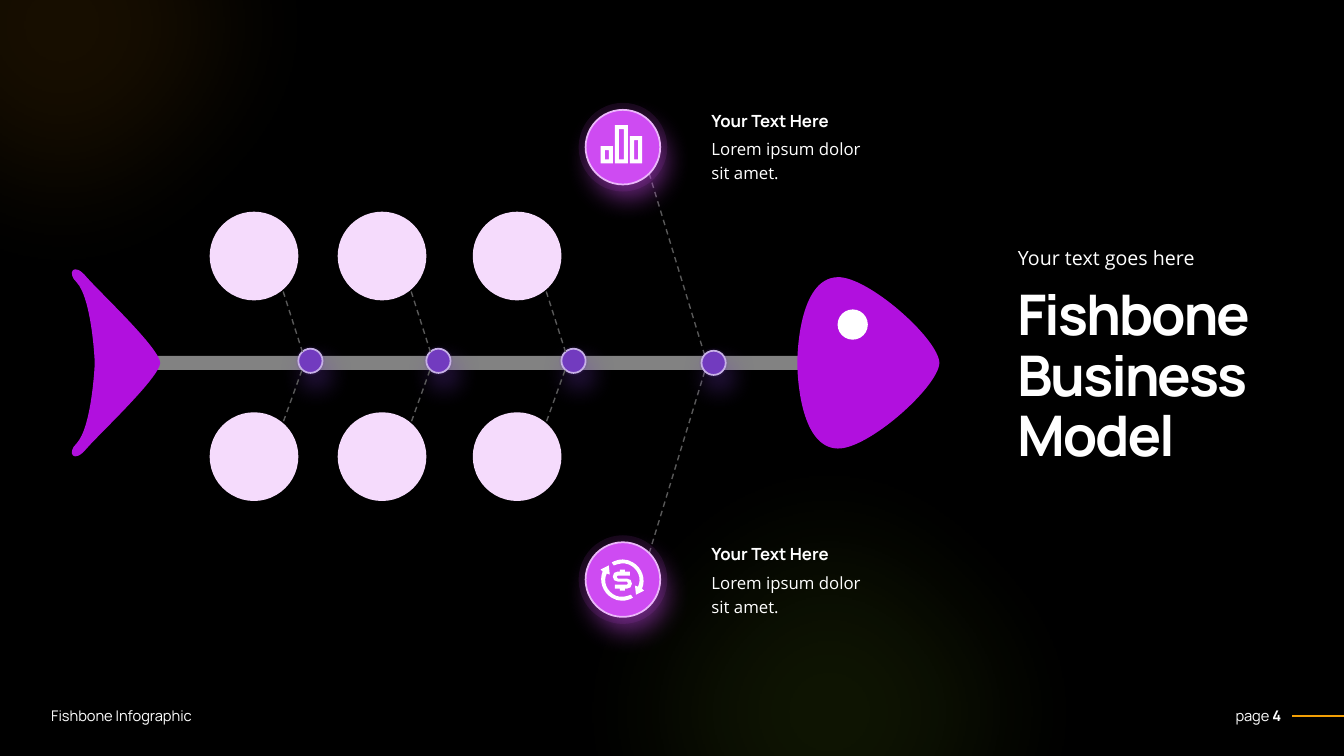
from lxml.etree import SubElement as Sub
from pptx import Presentation
from pptx.dml.color import RGBColor as Rgb
from pptx.enum.dml import MSO_LINE as Dash
from pptx.enum.shapes import MSO_CONNECTOR as Link, MSO_SHAPE as Kind
from pptx.enum.text import MSO_ANCHOR as Anchor, MSO_AUTO_SIZE as Fit, PP_ALIGN as Align
from pptx.oxml.ns import qn
from pptx.util import Inches, Pt

HUES = {
    "black": "000000", "white": "FFFFFF", "bone": "D9D9D9", "rib": "595959",
    "fish": "B110DE", "bubble": "F5DBFC", "joint": "723BBF", "ring": "C6B0E6",
    "badge": "CE4BF2", "rim": "EBB7FA", "gold": "F29F05", "green": "9FD923",
}
HEAD, BODY = "Manrope", "Open Sans"
MID = 3.6  # height of the spine


def hue(name):
    return Rgb.from_string(HUES[name])


def write(para, words, size=12, font=HEAD, bold=False, color="white",
          align=Align.LEFT, space=None, track=None):
    """Add one formatted run to a paragraph."""
    para.alignment = align
    if space:
        para.line_spacing = space
    run = para.add_run()
    run.text = words
    run.font.size, run.font.name, run.font.bold = Pt(size), font, bold
    run.font.color.rgb = hue(color)
    if track:
        run.font._element.set("spc", str(track))


# A loop is a start point, then points (x, y) and curves (x1, y1, x2, y2, x, y).
def pairs(step):
    return list(zip(step[::2], step[1::2]))


def mirror(loop):
    """Close an upper half made of curves with its image below the spine."""
    knots = [(x, 2 * MID - y) for step in loop for x, y in pairs(step)][::-1]
    return loop + [sum(knots[i:i + 3], ()) for i in range(1, len(knots), 3)]


def turn(loop):
    """Rotate a loop half a turn about the centre of the money icon."""
    return [sum(((12.35 - x, 11.51 - y) for x, y in pairs(step)), ()) for step in loop]


def block(left, top, right, low):
    return [(left, top), (right, top), (right, low), (left, low)]


class Deck:
    def __init__(self):
        self.show = Presentation()
        self.show.slide_width, self.show.slide_height = Inches(40 / 3), Inches(7.5)
        self.slide = self.show.slides.add_slide(self.show.slide_layouts[5])
        self.shapes = self.slide.shapes
        back = self.slide.background.fill
        back.solid()
        back.fore_color.rgb = hue("black")

    def paint(self, shape, color, alpha=100):
        shape.shadow.inherit = False
        shape.fill.solid()
        shape.fill.fore_color.rgb = hue(color)
        shape.line.fill.background()
        if alpha < 100:
            tint = shape._element.spPr.find(qn("a:solidFill"))[0]
            Sub(tint, qn("a:alpha"), val=str(alpha * 1000))
        return shape

    def bar(self, left, top, width, height, color, alpha=100):
        shape = self.shapes.add_shape(Kind.RECTANGLE, *map(Inches, (left, top, width, height)))
        return self.paint(shape, color, alpha)

    def disc(self, x, y, size, color, alpha=100):
        spot = (x - size / 2, y - size / 2, size, size)
        shape = self.shapes.add_shape(Kind.OVAL, *map(Inches, spot))
        return self.paint(shape, color, alpha)

    def glow(self, x, y, color):
        shape = self.disc(x, y, 6.8, color, 10)
        effects = shape._element.spPr.find(qn("a:effectLst"))
        Sub(effects, qn("a:softEdge"), rad=str(Pt(100)))

    def medal(self, x, y, outer, inner, color, rim):
        """Pale halo with a rimmed disc that casts a coloured shadow."""
        self.disc(x, y, outer, color, 10)
        shape = self.disc(x, y, inner, color)
        shape.line.color.rgb, shape.line.width = hue(rim), Pt(1.25)
        effects = shape._element.spPr.find(qn("a:effectLst"))
        cast = Sub(effects, qn("a:outerShdw"), blurRad=str(Pt(19)), dist=str(Pt(10)),
                   dir=str(68 * 60000), algn="ctr", rotWithShape="0")
        tint = Sub(cast, qn("a:srgbClr"), val=HUES[color])
        Sub(tint, qn("a:alpha"), val="50000")

    def line(self, x1, y1, x2, y2, color, width=1, dash=None):
        link = self.shapes.add_connector(Link.STRAIGHT, *map(Inches, (x1, y1, x2, y2)))
        link.line.color.rgb, link.line.width = hue(color), Pt(width)
        link.line.dash_style = dash
        Sub(link._element.spPr, qn("a:effectLst"))

    def form(self, color, left, top, width, height, *loops):
        """Frame an outline, then draw its loops with true curves."""
        frame = block(left, top, left + width, top + height)
        frame = [(Inches(x), Inches(y)) for x, y in frame]
        pen = self.shapes.build_freeform(*frame[0])
        pen.add_line_segments(frame[1:])
        shape = self.paint(pen.convert_to_shape(), color)
        track = next(shape._element.iter(qn("a:path")))
        for child in list(track):
            track.remove(child)
        for loop in loops:
            for i, step in enumerate(loop):
                verb = "cubicBezTo" if len(step) == 6 else "lnTo" if i else "moveTo"
                move = Sub(track, qn("a:" + verb))
                for x, y in pairs(step):
                    Sub(move, qn("a:pt"), x=str(Inches(x - left)), y=str(Inches(y - top)))
            Sub(track, qn("a:close"))

    def place(self, shape, left, top, width, height):
        shape.left, shape.top, shape.width, shape.height = map(
            Inches, (left, top, width, height))
        frame = shape.text_frame
        frame.word_wrap, frame.auto_size = True, Fit.NONE
        frame.vertical_anchor = Anchor.TOP
        return frame

    def text(self, left, top, width, height, words, **style):
        frame = self.place(self.shapes.add_textbox(0, 0, 0, 0), left, top, width, height)
        write(frame.paragraphs[0], words, **style)
        return frame

    def title(self, left, top, width, height, lines, **style):
        frame = self.place(self.shapes.title, left, top, width, height)
        for i, words in enumerate(lines):
            write(frame.add_paragraph() if i else frame.paragraphs[0], words, **style)


def main():
    deck = Deck()

    # Backdrop and footer
    deck.glow(8.23, 7.07, "green")
    deck.glow(0.62, 0.26, "gold")
    page = deck.text(11.8, 6.96, 1.01, 0.28, "page ", size=10.5, align=Align.RIGHT)
    write(page.paragraphs[0], "4", size=10.5, bold=True, align=Align.RIGHT)
    foot = deck.text(0.41, 6.96, 2.31, 0.28, "Fishbone Infographic", size=10.5)
    for frame in (page, foot):
        frame.vertical_anchor = Anchor.MIDDLE
    deck.line(12.82, 7.1, 13.33, 7.1, "gold", 1.25)

    # Long ribs
    for y1, y2 in ((1.72, 3.52), (5.49, 3.69)):
        deck.line(6.44, y1, 6.99, y2, "rib", dash=Dash.DASH)

    # Spine, tail, head and eye
    deck.bar(1.32, 3.53, 6.64, 0.14, "bone", 60)
    deck.form("fish", 0.71, 2.67, 0.88, 1.86, mirror([
        (1.59, MID), (1.58, 3.45, 1, 2.91, 0.86, 2.75),
        (0.73, 2.59, 0.66, 2.71, 0.76, 2.8), (0.91, 2.96, 0.94, 3.57, 0.94, MID)]))
    deck.form("fish", 7.91, 2.75, 1.41, 1.7, mirror([
        (9.32, MID), (9.31, 3.36, 8.61, 2.74, 8.31, 2.75),
        (7.92, 2.76, 7.91, 3.54, 7.91, MID)]))
    deck.disc(8.46, 3.22, 0.3, "white")

    # Joints, short ribs and bubbles
    deck.medal(7.08, MID, 0.29, 0.24, "joint", "ring")
    for x in (3.08, 4.35, 5.69):
        deck.medal(x, 3.58, 0.29, 0.24, "joint", "ring")
        for y1, y2 in ((2.8, 3.49), (4.27, 3.66)):
            deck.line(x - 0.3, y1, x - 0.08, y2, "rib", dash=Dash.DASH)
        for y in (2.54, 4.53):
            deck.disc(x - 0.56, y, 0.88, "bubble")

    # Badges with their captions
    for y in (1.46, 5.75):
        deck.medal(6.18, y, 0.88, 0.74, "badge", "rim")
    for top in (1.05, 5.35):
        deck.text(6.96, top, 1.75, 0.3, "Your Text Here", bold=True)
        deck.text(6.96, top + 0.24, 1.75, 0.57, "Lorem ipsum dolor sit amet.",
                  font=BODY, space=1.2)

    # Column icon
    bars = [(5.96, 1.45, 6.08), (6.1, 1.24, 6.23), (6.25, 1.35, 6.37)]
    outer = [block(left, top, right, 1.62) for left, top, right in bars]
    inner = [block(left + 0.04, top + 0.04, right - 0.04, 1.58) for left, top, right in bars]
    deck.form("white", 5.96, 1.24, 0.42, 0.38, *outer, *inner)

    # Money icon
    arrow = [
        (6.33, 5.82), (6.37, 5.74, 6.33, 5.64, 6.24, 5.6), (6.19, 5.58, 6.14, 5.59, 6.09, 5.61),
        (6.07, 5.58), (6.14, 5.54, 6.22, 5.54, 6.28, 5.58), (6.37, 5.63, 6.41, 5.75, 6.37, 5.84),
        (6.39, 5.86), (6.31, 5.9), (6.3, 5.81)]
    curl = [
        (6.25, 5.71), (6.13, 5.71), (6.13, 5.71, 6.12, 5.72, 6.12, 5.72),
        (6.12, 5.73, 6.13, 5.74, 6.13, 5.74), (6.22, 5.74), (6.25, 5.74, 6.27, 5.76, 6.27, 5.79),
        (6.27, 5.82, 6.25, 5.84, 6.22, 5.84), (6.2, 5.84), (6.2, 5.86), (6.15, 5.86),
        (6.15, 5.84), (6.1, 5.84)]
    deck.form("white", 5.96, 5.55, 0.44, 0.42, arrow, turn(arrow), curl + turn(curl))

    # Heading
    deck.title(9.99, 2.8, 2.72, 1.92, ["Fishbone", "Business Model"],
               size=40, bold=True, space=0.9, track=-150)
    deck.text(10, 2.34, 2.72, 0.37, "Your text goes here", size=14, font=BODY, space=1.2)

    deck.show.save("out.pptx")


if __name__ == "__main__":
    main()
